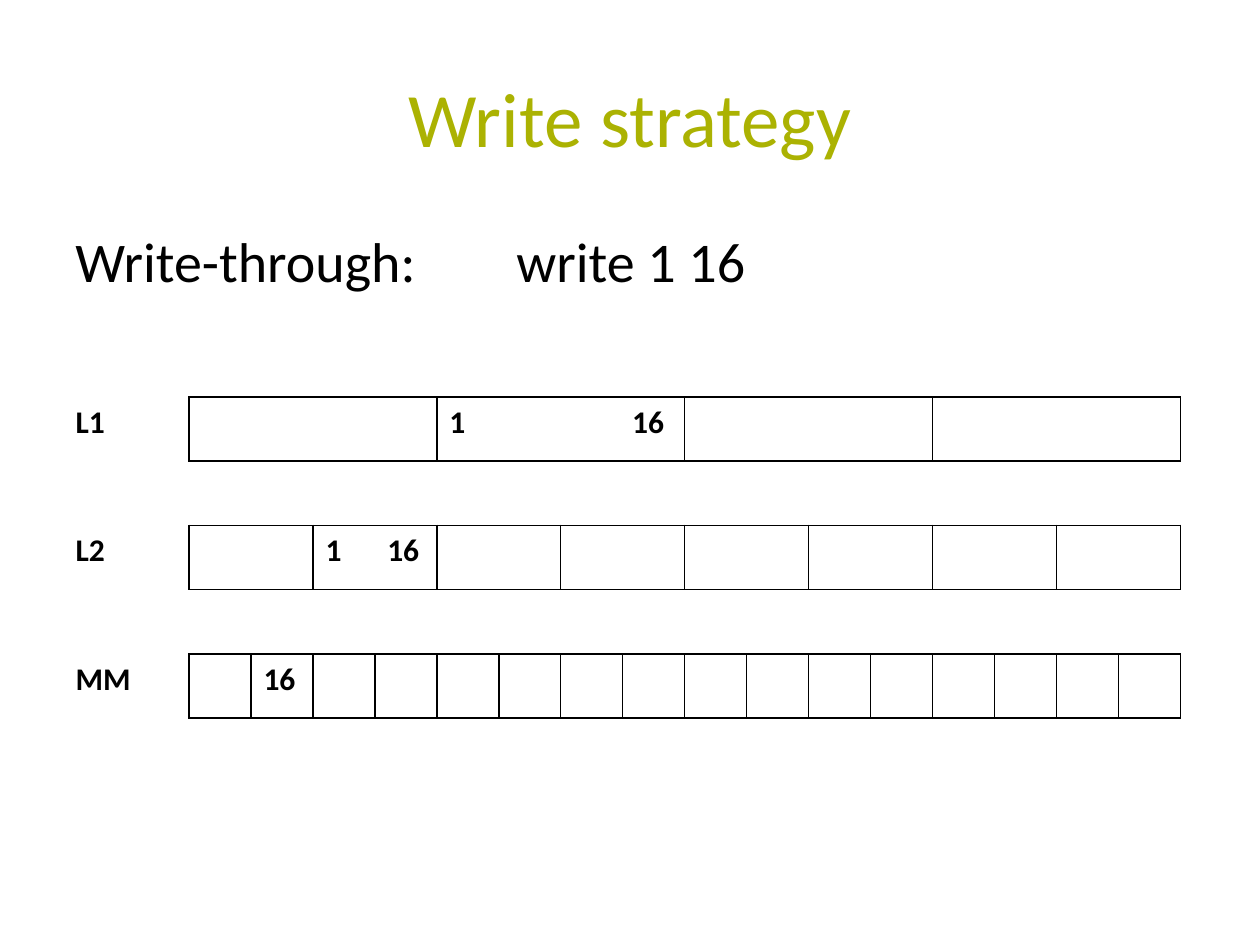
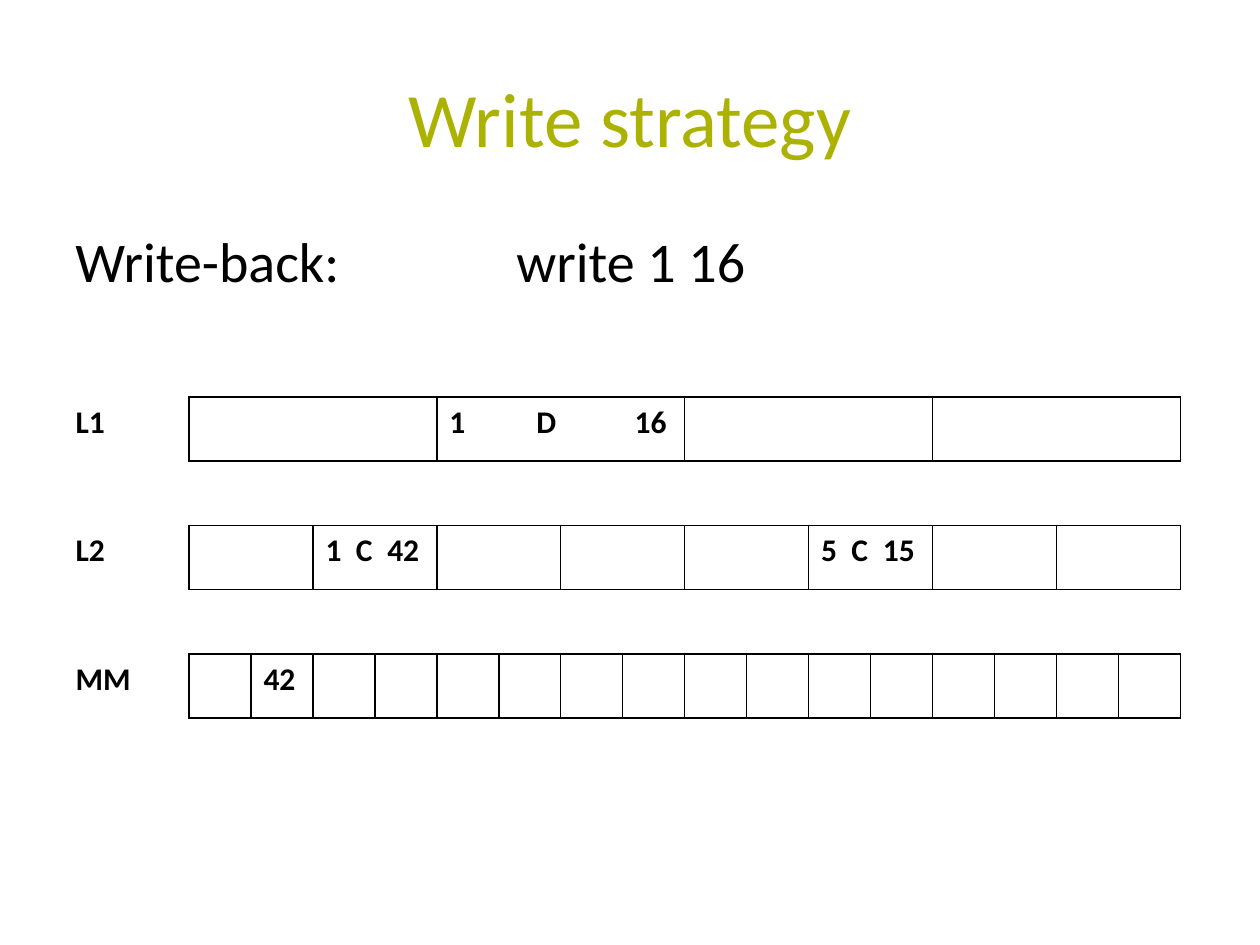
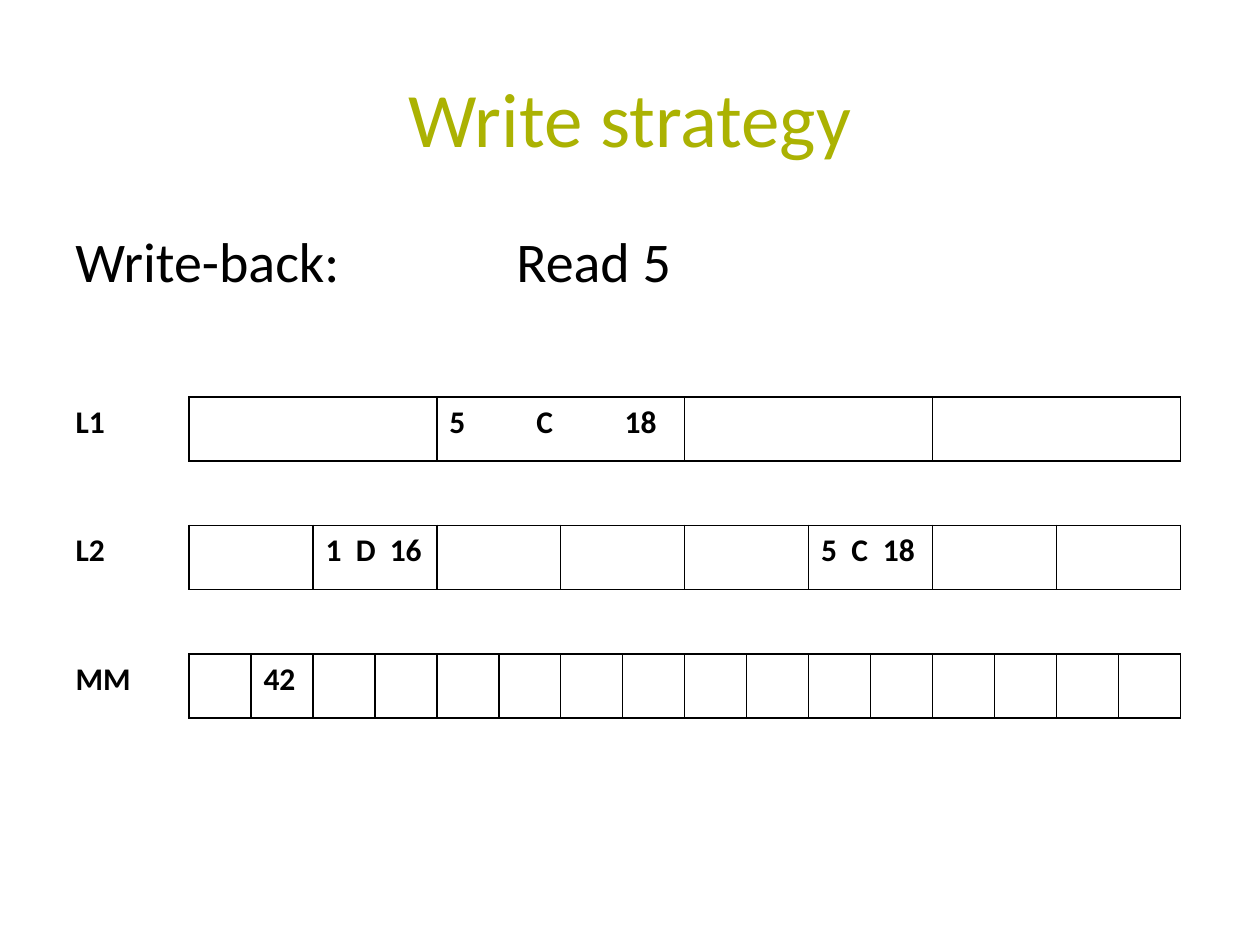
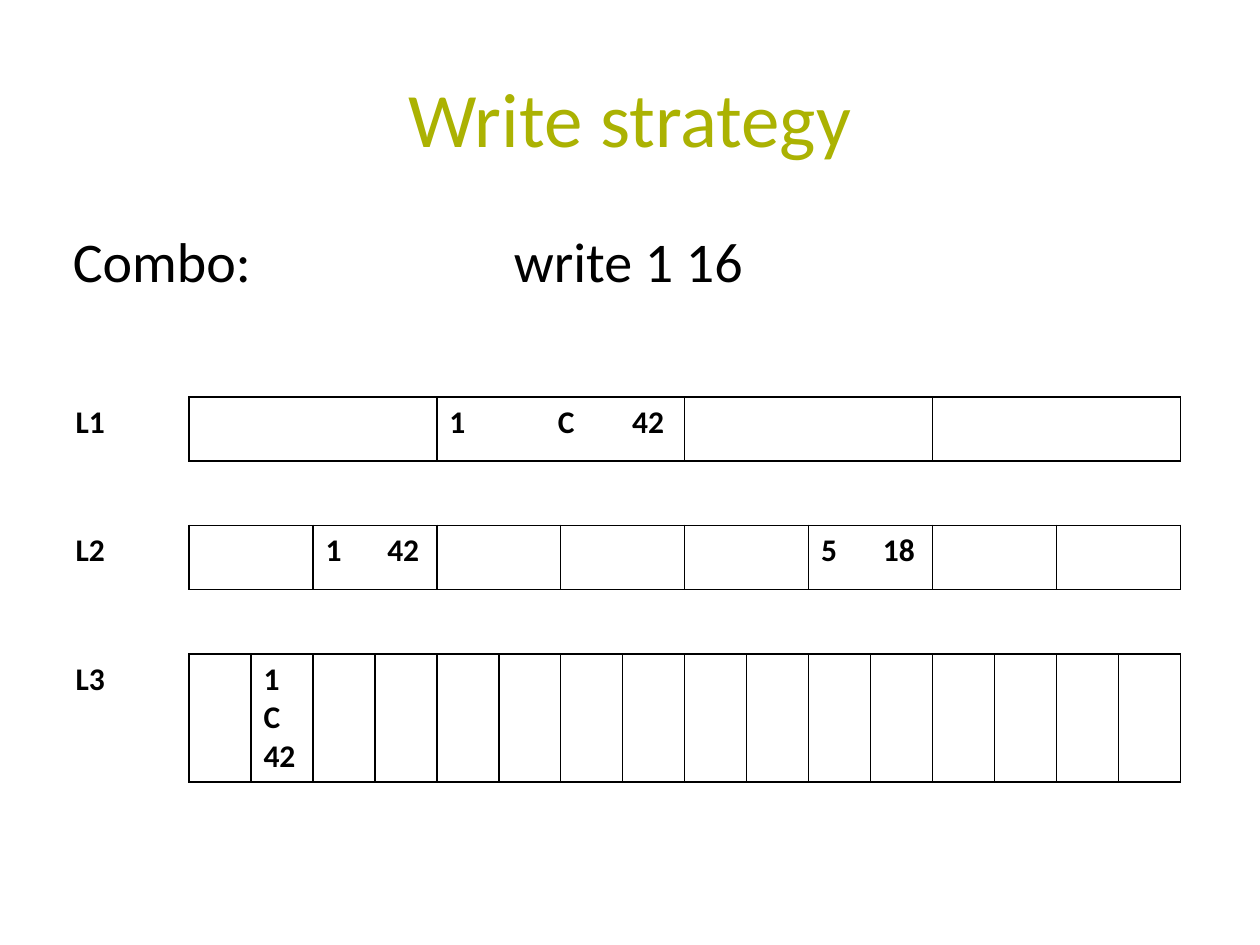
"""Build four slides that show how writes travel through a memory hierarchy."""
from dataclasses import dataclass

from lxml.etree import SubElement
from pptx import Presentation
from pptx.dml.color import RGBColor as RGB
from pptx.enum.text import MSO_ANCHOR as ANCHOR, MSO_AUTO_SIZE as AUTO, PP_ALIGN as ALIGN
from pptx.oxml.ns import qn
from pptx.util import Inches, Pt


@dataclass(frozen=True)
class Theme:
    font: str = "Calibri"
    title: RGB = RGB(0xAB, 0xB2, 0x02)
    ink: RGB = RGB(0, 0, 0)
    paper: RGB = RGB(255, 255, 255)
    title_size: int = 44
    heading_size: int = 32
    cell_size: int = 18
    line: int = 1


THEME = Theme()
WIDTH, HEIGHT = 10, 7.5
MARGIN = 0.05 * WIDTH
LABEL_W, GRID_W, ROW_H = 0.1 * WIDTH, 7.87, 0.51
COLS, ROWS = 16, 5
SPANS = [4, 2, 2, 2, 1]
NO_STYLE = "{2D5ABB26-0587-4C30-8999-92F81FD0307C}"
HEADING_STOP = 3.5


def add_text(p, text, size, color, bold=False, stops=()):
    """Add one formatted run and the tab stops it needs."""
    r = p.add_run()
    r.text = text
    r.font.name, r.font.size, r.font.bold = THEME.font, Pt(size), bold
    r.font.color.rgb = color
    if stops:
        tabs = SubElement(p._p.get_or_add_pPr(), qn("a:tabLst"))
        for stop in stops:
            SubElement(tabs, qn("a:tab"), pos=str(Inches(stop)), algn="l")


def style_cell(cell, sides):
    """Draw the named borders of a cell and fill it."""
    tc_pr = cell._tc.get_or_add_tcPr()
    for side in sides:
        ln = SubElement(tc_pr, qn(f"a:ln{side}"), w=str(Pt(THEME.line)))
        fill = SubElement(ln, qn("a:solidFill"))
        SubElement(fill, qn("a:srgbClr"), val=str(THEME.ink))
    cell.fill.solid()
    cell.fill.fore_color.rgb = THEME.paper


# Each entry maps (row, block) to text, tab stops or number indent, first number
SLIDES = [
    ("Write-through:", "write 1 16", 0.5, ["L1", "L2", "MM"], {
        (0, 1): ("16", [1.45], 1),
        (2, 1): ("16", [0.49], 1),
        (4, 1): ("16", [], None)}),
    ("Write-back:", "write 1 16", 0.5, ["L1", "L2", "MM"], {
        (0, 1): ("1\tD\t16", [0.69, 1.47], None),
        (2, 1): ("1\tC\t42", [0.24, 0.49], None),
        (2, 5): ("5\tC\t15", [0.24, 0.49], None),
        (4, 1): ("42", [], None)}),
    ("Write-back:", "Read 5", 0.5, ["L1", "L2", "MM"], {
        (0, 1): ("5\tC\t18", [0.69, 1.39], None),
        (2, 1): ("1\tD\t16", [0.24, 0.51], None),
        (2, 5): ("5\tC\t18", [0.24, 0.49], None),
        (4, 1): ("42", [], None)}),
    ("Combo:", "write 1 16", 0.48, ["L1", "L2", "L3"], {
        (0, 1): ("1\tC\t42", [0.86, 1.45], None),
        (2, 1): ("42", [0.49], 1),
        (2, 5): ("18", [0.49], 5),
        (4, 1): ("1\nC 42", [], None)}),
]

prs = Presentation()
prs.slide_width, prs.slide_height = Inches(WIDTH), Inches(HEIGHT)

for policy, action, left, labels, entries in SLIDES:
    s = prs.slides.add_slide(prs.slide_layouts[5])
    title = s.shapes.title
    title.left, title.top = Inches(MARGIN), Inches(0.04 * HEIGHT)
    title.width, title.height = Inches(0.9 * WIDTH), Inches(HEIGHT / 6)
    title.text_frame.vertical_anchor = ANCHOR.MIDDLE
    p = title.text_frame.paragraphs[0]
    p.alignment = ALIGN.CENTER
    add_text(p, "Write strategy", THEME.title_size, THEME.title)

    frame = s.shapes.add_table(ROWS, COLS + 1, Inches(MARGIN), Inches(0.42 * HEIGHT),
                               Inches(LABEL_W + GRID_W), Inches(ROWS * ROW_H))
    tbl = frame.table
    tbl.first_row = tbl.horz_banding = False
    tbl._tbl.tblPr.find(qn("a:tableStyleId")).text = NO_STYLE
    for i, col in enumerate(tbl.columns):
        col.width = Inches(GRID_W / COLS if i else LABEL_W)

    for row, span in enumerate(SPANS):
        tbl.rows[row].height = Inches(ROW_H)
        is_level = row % 2 == 0
        style_cell(tbl.cell(row, 0), "R" if is_level else "")
        if is_level:
            p = tbl.cell(row, 0).text_frame.paragraphs[0]
            add_text(p, labels[row // 2], THEME.cell_size, THEME.ink, True)
        for col in range(1, COLS + 1):
            style_cell(tbl.cell(row, col), "LRTB" if is_level else "TB")
        for block in range(COLS // span):
            first = 1 + block * span
            cell = tbl.cell(row, first)
            if span > 1:
                cell.merge(tbl.cell(row, first + span - 1))
            if (row, block) not in entries:
                continue
            text, stops, number = entries[row, block]
            tf = cell.text_frame
            for i, line in enumerate(text.split("\n")):
                p = tf.add_paragraph() if i else tf.paragraphs[0]
                if number:
                    indent = Inches(stops[0])
                    p_pr = p._p.get_or_add_pPr()
                    p_pr.set("marL", str(indent))
                    p_pr.set("indent", str(-indent))
                    SubElement(p_pr, qn("a:buFont"), typeface="+mj-lt")
                    SubElement(p_pr, qn("a:buAutoNum"), type="arabicPlain", startAt=str(number))
                add_text(p, line, THEME.cell_size, THEME.ink, True, () if number else stops)

    sp = s.shapes.add_textbox(Inches(left), Inches(1.75), Inches(0.9 * WIDTH), Inches(0.64))
    tf = sp.text_frame
    tf.word_wrap = True
    tf.auto_size = AUTO.SHAPE_TO_FIT_TEXT
    p = tf.paragraphs[0]
    p.space_before = Pt(0.2 * THEME.heading_size)
    add_text(p, f"{policy}\t{action}", THEME.heading_size, THEME.ink, stops=[HEADING_STOP])

prs.save("out.pptx")
